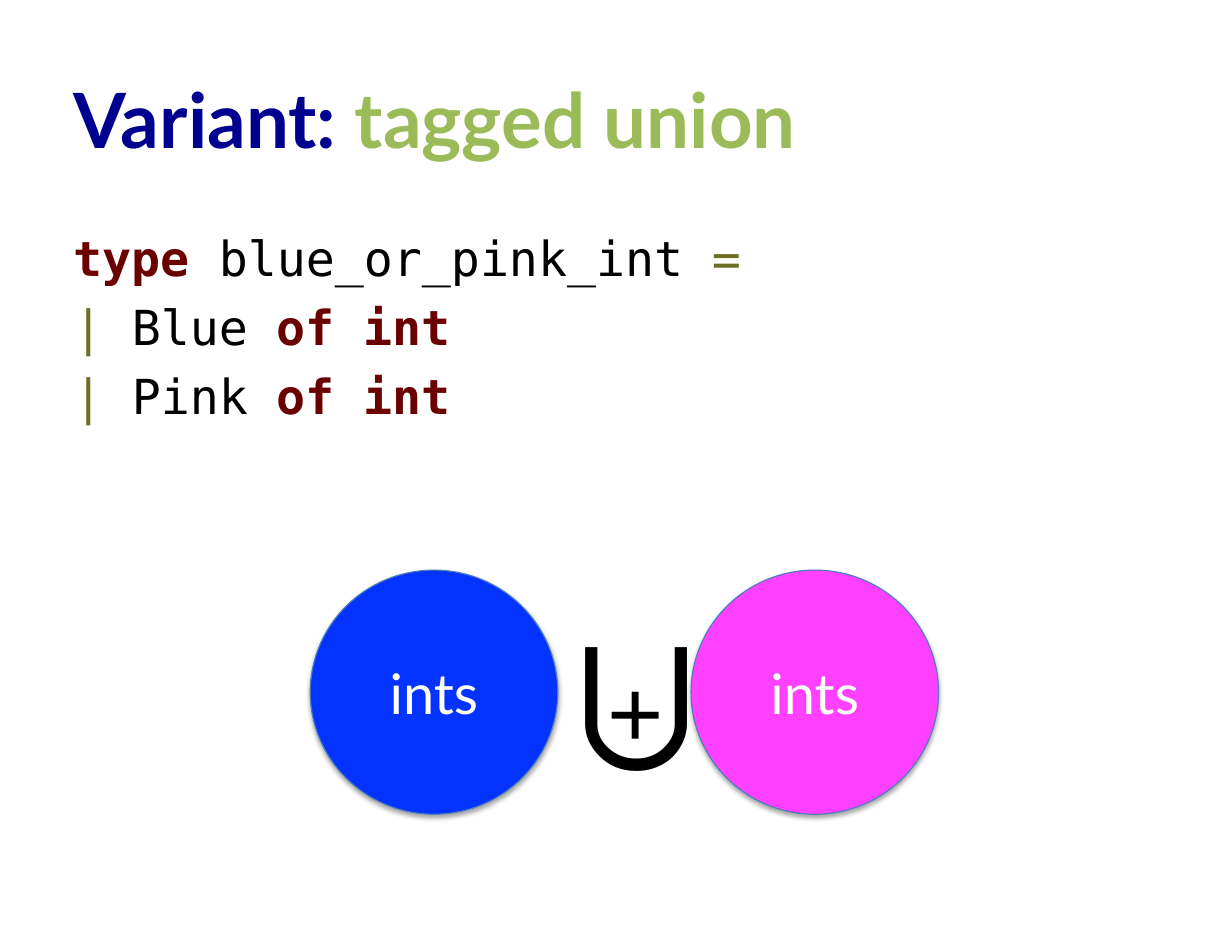
from dataclasses import dataclass

from lxml import etree
from pptx import Presentation
from pptx.dml.color import RGBColor
from pptx.enum.shapes import MSO_SHAPE
from pptx.enum.text import MSO_ANCHOR, PP_ALIGN
from pptx.oxml.ns import qn
from pptx.util import Inches, Pt

OVAL = MSO_SHAPE.OVAL
MIDDLE = MSO_ANCHOR.MIDDLE
TOP = MSO_ANCHOR.TOP
CENTER = PP_ALIGN.CENTER


@dataclass(frozen=True)
class Theme:
    text_font: str = "Lato"
    code_font: str = "DejaVu Sans Mono"
    title_size: float = 49
    code_size: float = 31
    label_size: float = 36
    symbol_size: float = 96
    code_gap: float = 7
    navy: str = "000090"
    green: str = "9BBB59"
    keyword: str = "6B0001"
    operator: str = "6D6F24"
    black: str = "000000"
    white: str = "FFFFFF"
    blue: str = "0432FF"
    pink: str = "FF40FF"
    outline: str = "4B7EBC"


THEME = Theme()


def color(value):
    return RGBColor.from_string(value)


def add_text_box(slide, left, top, width, height, anchor=TOP, wrap=True):
    box = slide.shapes.add_textbox(Inches(left), Inches(top), Inches(width), Inches(height))
    frame = box.text_frame
    frame.word_wrap = wrap
    frame.vertical_anchor = anchor
    return frame


def set_margins(frame):
    frame.margin_left = frame.margin_right = Inches(0.11)
    frame.margin_top = frame.margin_bottom = Inches(0.06)


def style_paragraph(paragraph, font_name, size):
    paragraph.font.name = font_name
    paragraph.font.size = Pt(size)


def add_run(paragraph, text, run_color, bold=False):
    run = paragraph.add_run()
    run.text = text
    run.font.color.rgb = color(run_color)
    run.font.bold = bold


def add_title(slide):
    frame = add_text_box(slide, 0.55, 0.34, 9.9, 1.42, MIDDLE)
    set_margins(frame)
    paragraph = frame.paragraphs[0]
    style_paragraph(paragraph, THEME.text_font, THEME.title_size)
    add_run(paragraph, "Variant: ", THEME.navy, True)
    add_run(paragraph, "tagged union", THEME.green, True)


def add_code(slide, lines):
    frame = add_text_box(slide, 0.55, 1.98, 9.9, 6.11)
    set_margins(frame)
    for index, line in enumerate(lines):
        paragraph = frame.add_paragraph() if index else frame.paragraphs[0]
        style_paragraph(paragraph, THEME.code_font, THEME.code_size)
        paragraph.space_before = Pt(THEME.code_gap)
        for text, run_color in line:
            add_run(paragraph, text, run_color, run_color == THEME.keyword)


def add_shadow(shape):
    shape.shadow.inherit = False
    effects = shape._element.spPr.find(qn("a:effectLst"))
    shadow = etree.SubElement(
        effects, qn("a:outerShdw"), blurRad=str(Pt(3.1)), dist=str(Pt(1.8)),
        dir="5400000", rotWithShape="0")
    shade = etree.SubElement(shadow, qn("a:srgbClr"), val=THEME.black)
    etree.SubElement(shade, qn("a:alpha"), val="35000")


def add_set_circle(slide, left, fill):
    circle = slide.shapes.add_shape(OVAL, Inches(left), Inches(5.09), Inches(2.21), Inches(2.18))
    circle.fill.solid()
    circle.fill.fore_color.rgb = color(fill)
    circle.line.color.rgb = color(THEME.outline)
    circle.line.width = Pt(0.75)
    add_shadow(circle)
    circle.text_frame.vertical_anchor = MIDDLE
    paragraph = circle.text_frame.paragraphs[0]
    paragraph.alignment = CENTER
    style_paragraph(paragraph, THEME.text_font, THEME.label_size)
    add_run(paragraph, "ints", THEME.white)


def add_union_symbol(slide):
    frame = add_text_box(slide, 5.05, 5.37, 1.14, 1.72, wrap=False)
    paragraph = frame.paragraphs[0]
    style_paragraph(paragraph, THEME.text_font, THEME.symbol_size)
    add_run(paragraph, "⨄", THEME.black)


def constructor_line(name):
    return [("|", THEME.operator), (f" {name} ", THEME.black), ("of int", THEME.keyword)]


def main():
    presentation = Presentation()
    presentation.slide_width = Inches(11)
    presentation.slide_height = Inches(8.5)
    slide = presentation.slides.add_slide(presentation.slide_layouts[6])

    add_title(slide)
    add_code(slide, [
        [("type ", THEME.keyword), ("blue_or_pink_int ", THEME.black), ("=", THEME.operator)],
        constructor_line("Blue"),
        constructor_line("Pink"),
    ])
    for left, fill in ((2.77, THEME.blue), (6.17, THEME.pink)):
        add_set_circle(slide, left, fill)
    add_union_symbol(slide)
    presentation.save("out.pptx")


if __name__ == "__main__":
    main()
